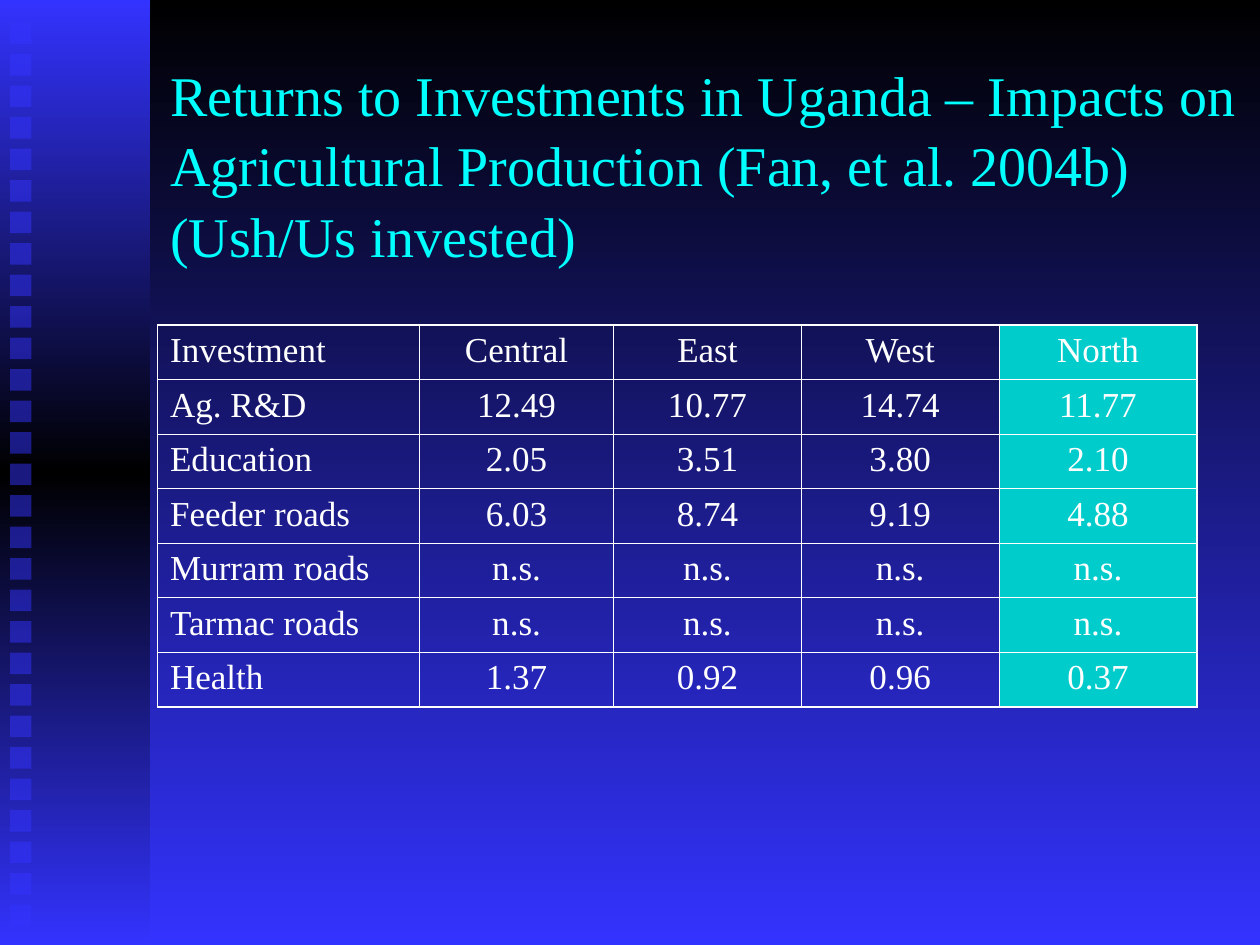
from copy import deepcopy

from lxml import etree
from pptx import Presentation
from pptx.dml.color import RGBColor
from pptx.enum.shapes import MSO_SHAPE
from pptx.enum.text import MSO_ANCHOR, PP_ALIGN
from pptx.oxml.ns import qn
from pptx.util import Inches, Pt

RECTANGLE = MSO_SHAPE.RECTANGLE
MIDDLE = MSO_ANCHOR.MIDDLE
LEFT, CENTER = PP_ALIGN.LEFT, PP_ALIGN.CENTER

# Content
TITLE = ("Returns to Investments in Uganda – Impacts on Agricultural Production "
         "(Fan, et al. 2004b) \v(Ush/Us invested)")
ROWS = [
    ("Investment", "Central", "East", "West", "North"),
    ("Ag. R&D", "12.49", "10.77", "14.74", "11.77"),
    ("Education", "2.05", "3.51", "3.80", "2.10"),
    ("Feeder roads", "6.03", "8.74", "9.19", "4.88"),
    ("Murram roads", "n.s.", "n.s.", "n.s.", "n.s."),
    ("Tarmac roads", "n.s.", "n.s.", "n.s.", "n.s."),
    ("Health", "1.37", "0.92", "0.96", "0.37"),
]
COLUMN_WIDTHS = (2.08, 1.54, 1.49, 1.57, 1.57)
HIGHLIGHT_COLUMN = 4
SQUARE_COUNT, SQUARE_TOP, SQUARE_PITCH, SQUARE_SIZE = 29, 0.18, 0.25, 0.17

THEME = {
    "font": "Times New Roman",
    "title_size": 32, "table_size": 20,
    "black": "000000", "blue": "3333FF", "title": "00FFFF",
    "text": "FFFFFF", "highlight": "00CCCC",
    "outer_border": 1.08, "inner_border": 0.45,
    "square_alpha": 50,
}


def color(name):
    return RGBColor.from_string(THEME[name])


def style_font(font, size, color_name):
    font.name = THEME["font"]
    font.size = Pt(THEME[size])
    font.color.rgb = color(color_name)


def paint_gradient(fill, owner, names):
    """Fill from top to bottom with evenly spaced colours."""
    fill.gradient()
    fill.gradient_angle = 270
    stop_list = owner.find(".//" + qn("a:gsLst"))
    while len(stop_list) < len(names):
        stop_list.append(deepcopy(stop_list[0]))
    for index, (stop, name) in enumerate(zip(fill.gradient_stops, names)):
        stop.color.rgb = color(name)
        stop.position = index / (len(names) - 1)


def add_rectangle(slide, left, top, width, height):
    box = slide.shapes.add_shape(RECTANGLE, Inches(left), Inches(top),
                                 Inches(width), Inches(height))
    box.shadow.inherit = False
    box.line.fill.background()
    return box


def add_side_band(slide):
    band = add_rectangle(slide, 0, 0, 1.19, 7.5)
    paint_gradient(band.fill, band._element, ("blue", "black", "blue"))
    for index in range(SQUARE_COUNT):
        square = add_rectangle(slide, 0.08, SQUARE_TOP + index * SQUARE_PITCH,
                               SQUARE_SIZE, SQUARE_SIZE)
        square.fill.solid()
        square.fill.fore_color.rgb = color("blue")
        tint = square._element.spPr.find(qn("a:solidFill"))[0]
        etree.SubElement(tint, qn("a:alpha"), val=str(THEME["square_alpha"] * 1000))


def add_title(slide):
    title = slide.shapes.title
    title.left, title.top = Inches(1.25), Inches(0.33)
    title.width, title.height = Inches(8.75), Inches(1.92)
    frame = title.text_frame
    frame.text = TITLE
    frame.word_wrap = True
    frame.vertical_anchor = MIDDLE
    para = frame.paragraphs[0]
    para.alignment = LEFT
    para.line_spacing = 1.05
    for run in para.runs:
        style_font(run.font, "title_size", "title")


def add_borders(cell, row, column):
    outer_sides = {
        "L": column == 0, "R": column == len(COLUMN_WIDTHS) - 1,
        "T": row == 0, "B": row == len(ROWS) - 1,
    }
    properties = cell._tc.get_or_add_tcPr()
    for side, is_outer in outer_sides.items():
        width = Pt(THEME["outer_border" if is_outer else "inner_border"])
        line = etree.SubElement(properties, qn("a:ln" + side), w=str(width))
        solid = etree.SubElement(line, qn("a:solidFill"))
        etree.SubElement(solid, qn("a:srgbClr"), val=THEME["text"])


def add_returns_table(slide):
    table = slide.shapes.add_table(len(ROWS), len(COLUMN_WIDTHS), Inches(1.25), Inches(2.58),
                                   Inches(sum(COLUMN_WIDTHS)), Inches(3.03)).table
    table.first_row = table.horz_banding = False
    for column, width in zip(table.columns, COLUMN_WIDTHS):
        column.width = Inches(width)
    for row, values in enumerate(ROWS):
        for column, value in enumerate(values):
            cell = table.cell(row, column)
            cell.text_frame.text = value
            para = cell.text_frame.paragraphs[0]
            para.alignment = CENTER if column else LEFT
            style_font(para.runs[0].font, "table_size", "text")
            add_borders(cell, row, column)
            if column == HIGHLIGHT_COLUMN:
                cell.fill.solid()
                cell.fill.fore_color.rgb = color("highlight")
            else:
                cell.fill.background()


def main():
    deck = Presentation()
    deck.slide_width, deck.slide_height = Inches(10), Inches(7.5)
    slide = deck.slides.add_slide(deck.slide_layouts[5])
    paint_gradient(slide.background.fill, slide._element, ("black", "blue"))
    add_side_band(slide)
    add_title(slide)
    add_returns_table(slide)
    deck.save("out.pptx")


if __name__ == "__main__":
    main()
